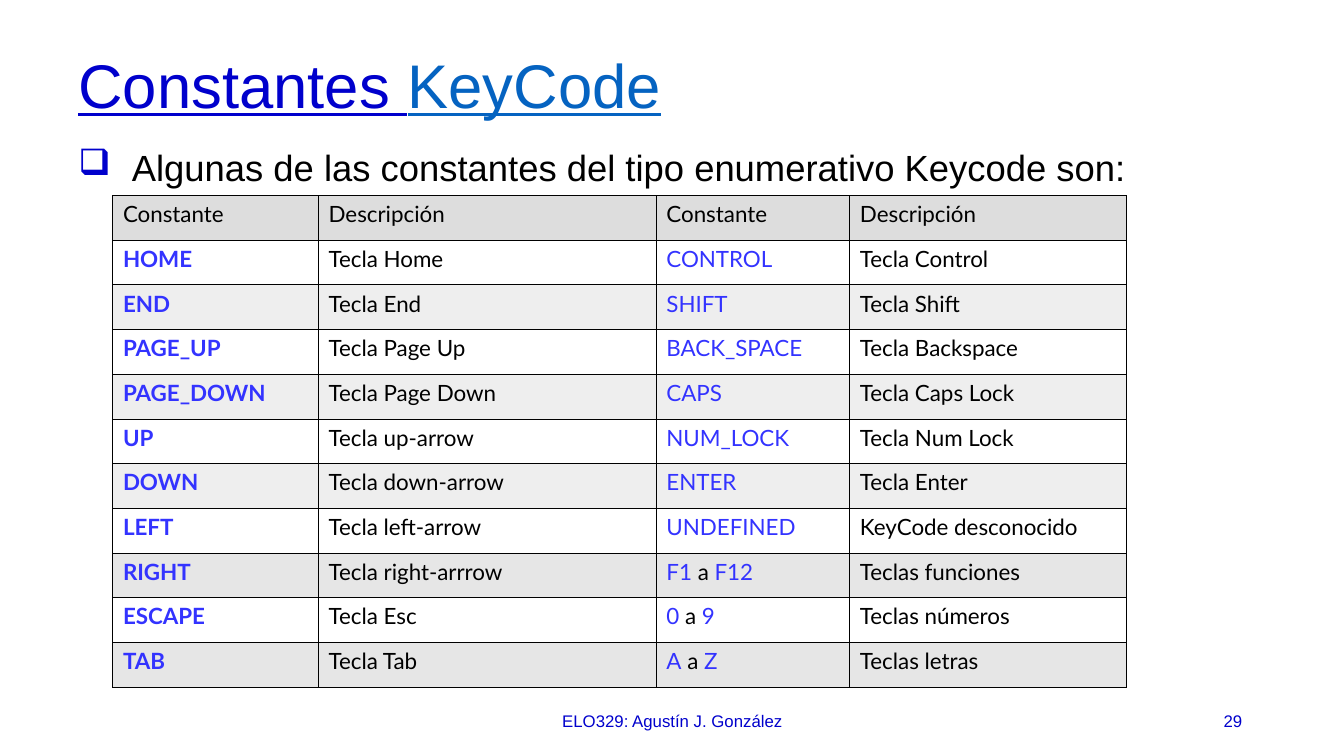
from dataclasses import dataclass

from lxml import etree
from pptx import Presentation
from pptx.dml.color import RGBColor
from pptx.enum.text import MSO_ANCHOR, PP_ALIGN
from pptx.oxml.ns import qn
from pptx.util import Inches, Pt

LEFT, CENTER, RIGHT = PP_ALIGN.LEFT, PP_ALIGN.CENTER, PP_ALIGN.RIGHT
TOP, MIDDLE = MSO_ANCHOR.TOP, MSO_ANCHOR.MIDDLE
COLORS = {
    "navy": "0000CC", "link": "0563C1", "key": "3333FF", "black": "000000",
    "white": "FFFFFF", "header": "DDDDDD", "band": "EEEEEE", "dark_band": "E6E6E6",
}
BORDER_WIDTH = Pt(0.75)
COLUMN_WIDTHS = (2.04, 3.35, 1.92, 2.74)
TABLE_HEIGHT = 4.88
HEADER = ("Constante", "Descripción") * 2


@dataclass(frozen=True)
class KeyRow:
    constant: str
    description: str
    other_constant: str
    other_description: str
    fill: str = "white"


KEY_ROWS = (
    KeyRow("HOME", "Tecla Home", "CONTROL", "Tecla Control"),
    KeyRow("END", "Tecla End", "SHIFT", "Tecla Shift", "band"),
    KeyRow("PAGE_UP", "Tecla Page Up", "BACK_SPACE", "Tecla Backspace"),
    KeyRow("PAGE_DOWN", "Tecla Page Down", "CAPS", "Tecla Caps Lock", "band"),
    KeyRow("UP", "Tecla up-arrow", "NUM_LOCK", "Tecla Num Lock"),
    KeyRow("DOWN", "Tecla down-arrow", "ENTER", "Tecla Enter", "band"),
    KeyRow("LEFT", "Tecla left-arrow", "UNDEFINED", "KeyCode desconocido"),
    KeyRow("RIGHT", "Tecla right-arrrow", "F1 a F12", "Teclas funciones", "dark_band"),
    KeyRow("ESCAPE", "Tecla Esc", "0 a 9", "Teclas números"),
    KeyRow("TAB", "Tecla Tab", "A a Z", "Teclas letras", "dark_band"),
)


def add_text(paragraph, text: str, *, size: float, color: str, font: str = "Arial",
             bold: bool = False, underline: bool = False) -> None:
    run = paragraph.add_run()
    run.text = text
    run.font.name = font
    run.font.size = Pt(size)
    run.font.bold = bold
    run.font.underline = underline
    run.font.color.rgb = RGBColor.from_string(COLORS[color])


def add_box(slide, left: float, top: float, width: float, height: float, *,
            anchor=MIDDLE, align=LEFT):
    """Add a wrapped text box and return its shape and first paragraph."""
    box = slide.shapes.add_textbox(Inches(left), Inches(top), Inches(width), Inches(height))
    box.text_frame.word_wrap = True
    box.text_frame.vertical_anchor = anchor
    paragraph = box.text_frame.paragraphs[0]
    paragraph.alignment = align
    return box, paragraph


def add_bullet(paragraph, symbol: str, color: str, indent: float) -> None:
    properties = paragraph._p.get_or_add_pPr()
    properties.set("marL", str(Inches(indent)))
    properties.set("indent", str(-Inches(indent)))
    bullet_color = etree.SubElement(properties, qn("a:buClr"))
    etree.SubElement(bullet_color, qn("a:srgbClr"), val=COLORS[color])
    etree.SubElement(properties, qn("a:buChar"), char=symbol)


def style_cell(cell, fill: str) -> None:
    properties = cell._tc.get_or_add_tcPr()
    for side in ("a:lnL", "a:lnR", "a:lnT", "a:lnB"):
        line = etree.SubElement(properties, qn(side), w=str(BORDER_WIDTH))
        line_fill = etree.SubElement(line, qn("a:solidFill"))
        etree.SubElement(line_fill, qn("a:srgbClr"), val=COLORS["black"])
    cell.fill.solid()
    cell.fill.fore_color.rgb = RGBColor.from_string(COLORS[fill])


def fill_cell(cell, text: str, fill: str, color: str = "black", bold: bool = False) -> None:
    """Write a cell; the word between the ends of a range stays black."""
    style_cell(cell, fill)
    paragraph = cell.text_frame.paragraphs[0]
    first, joiner, last = text.partition(" a ")
    for part, part_color in ((first, color), (joiner, "black"), (last, color)):
        if part:
            add_text(paragraph, part, size=16, color=part_color, font="Lato", bold=bold)


def add_key_table(slide) -> None:
    row_count = len(KEY_ROWS) + 1
    table = slide.shapes.add_table(
        row_count, len(COLUMN_WIDTHS), Inches(1.12), Inches(1.94),
        Inches(sum(COLUMN_WIDTHS)), Inches(TABLE_HEIGHT)).table
    for column, width in zip(table.columns, COLUMN_WIDTHS):
        column.width = Inches(width)
    for row in table.rows:
        row.height = Inches(TABLE_HEIGHT / row_count)
    for column, heading in enumerate(HEADER):
        fill_cell(table.cell(0, column), heading, "header")
    for number, key in enumerate(KEY_ROWS, start=1):
        fill_cell(table.cell(number, 0), key.constant, key.fill, "key", bold=True)
        fill_cell(table.cell(number, 1), key.description, key.fill)
        fill_cell(table.cell(number, 2), key.other_constant, key.fill, "key")
        fill_cell(table.cell(number, 3), key.other_description, key.fill)


def main() -> None:
    deck = Presentation()
    deck.slide_width, deck.slide_height = Inches(13.33), Inches(7.5)
    slide = deck.slides.add_slide(deck.slide_layouts[6])

    # Title
    _, title = add_box(slide, 0.68, 0.4, 12.08, 0.95)
    title.line_spacing = 0.9
    add_text(title, "Constantes ", size=44, color="navy", underline=True)
    add_text(title, "KeyCode", size=44, color="link", underline=True)

    # Introduction
    intro_box, intro = add_box(slide, 0.68, 1.35, 12.08, 0.84, anchor=TOP)
    intro_box.text_frame.margin_top = Inches(0.09)
    add_bullet(intro, "❑", "navy", 0.53)
    add_text(intro, "Algunas de las constantes del tipo enumerativo Keycode son:",
             size=26, color="black")

    # Key constants
    add_key_table(slide)

    # Footer
    _, author = add_box(slide, 4.42, 6.95, 4.5, 0.4, align=CENTER)
    add_text(author, "ELO329: Agustín J. González", size=12, color="navy")
    _, page_number = add_box(slide, 9.42, 6.95, 3, 0.4, align=RIGHT)
    add_text(page_number, "29", size=12, color="navy")

    deck.save("out.pptx")


if __name__ == "__main__":
    main()
